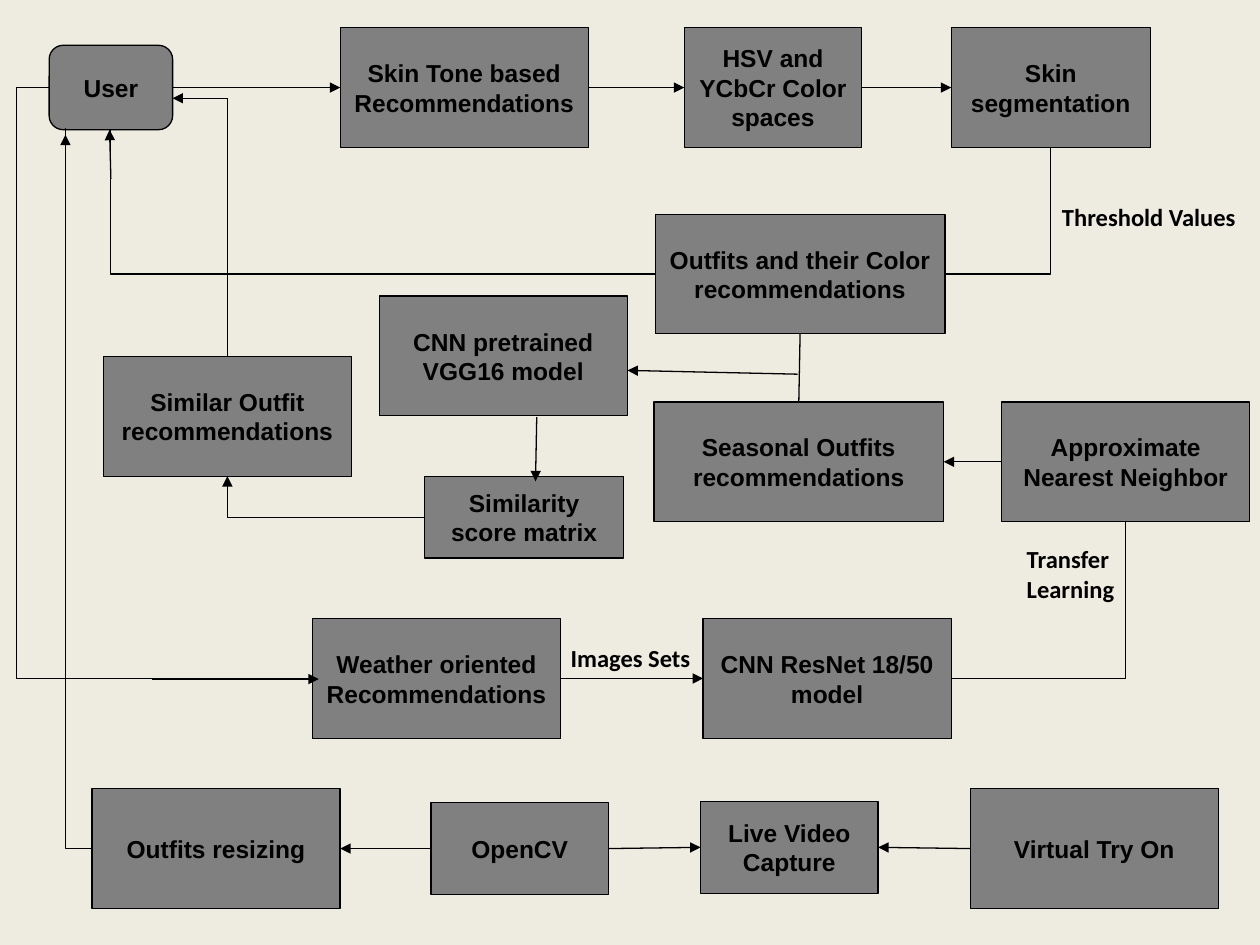
from dataclasses import dataclass
from lxml.etree import SubElement
from pptx import Presentation
from pptx.dml.color import RGBColor
from pptx.enum.shapes import MSO_CONNECTOR, MSO_SHAPE
from pptx.enum.text import MSO_ANCHOR, PP_ALIGN
from pptx.oxml.ns import qn
from pptx.util import Inches, Pt


@dataclass(frozen=True)
class Theme:
    paper: RGBColor = RGBColor(0xEE, 0xEC, 0xE1)
    box: RGBColor = RGBColor(0x80, 0x80, 0x80)
    ink: RGBColor = RGBColor(0, 0, 0)
    size: Pt = Pt(14)
    line: Pt = Pt(0.75)
    box_font: str = "Arial"
    label_font: str = "Calibri"


theme = Theme()

prs = Presentation()
prs.slide_width, prs.slide_height = Inches(10), Inches(7.5)
s = prs.slides.add_slide(prs.slide_layouts[6])
s.background.fill.solid()
s.background.fill.fore_color.rgb = theme.paper
COL, ROW = prs.slide_width / 100, prs.slide_height / 75


def grid(*lengths):
    return [round(n * (ROW if i % 2 else COL)) for i, n in enumerate(lengths)]


def write(sp, text, font, align=PP_ALIGN.LEFT, anchor=MSO_ANCHOR.TOP):
    tf = sp.text_frame
    tf.word_wrap = True
    tf.vertical_anchor = anchor
    tf.margin_left = tf.margin_right = round(COL)
    tf.margin_top = tf.margin_bottom = round(ROW)
    p = tf.paragraphs[0]
    p.alignment = align
    r = p.add_run()
    r.text = text
    r.font.name, r.font.size, r.font.bold = font, theme.size, True
    r.font.color.rgb = theme.ink


TOP, RIGHT, BOTTOM, LEFT = 0, 3, 2, 1
LARGE, WIDE = (19.7, 9.5), (23, 9.5)
MEDIUM, SMALL = (15.8, 9.5), (14.1, 7.3)

boxes = {
    "user": ("User", 3.9, 3.6, 9.8, 6.7),
    "skin_tone": ("Skin Tone based Recommendations", 27, 2.2, *LARGE),
    "color_spaces": ("HSV and YCbCr Color spaces", 54.3, 2.2, 14.1, 9.5),
    "segmentation": ("Skin segmentation", 75.5, 2.2, *MEDIUM),
    "outfits": ("Outfits and their Color recommendations", 52, 17, *WIDE),
    "weather": ("Weather oriented Recommendations", 24.8, 49.1, *LARGE),
    "resnet": ("CNN ResNet 18/50 model", 55.8, 49.1, *LARGE),
    "neighbor": ("Approximate Nearest Neighbor", 79.5, 31.9, *LARGE),
    "seasonal": ("Seasonal Outfits recommendations", 51.9, 31.9, *WIDE),
    "vgg": ("CNN pretrained VGG16 model", 30.1, 23.5, *LARGE),
    "similarity": ("Similarity score matrix", 33.7, 37.8, 15.8, 6.5),
    "similar": ("Similar Outfit recommendations", 8.2, 28.3, *LARGE),
    "try_on": ("Virtual Try On", 77, 62.6, *LARGE),
    "opencv": ("OpenCV", 34.2, 63.7, *SMALL),
    "resizing": ("Outfits resizing", 7.3, 62.6, *LARGE),
    "capture": ("Live Video Capture", 55.6, 63.6, *SMALL),
}
nodes = {}
for name, (text, *place) in boxes.items():
    kind = MSO_SHAPE.ROUNDED_RECTANGLE if name == "user" else MSO_SHAPE.RECTANGLE
    sp = nodes[name] = s.shapes.add_shape(kind, *grid(*place))
    sp.shadow.inherit = False
    sp.fill.solid()
    sp.fill.fore_color.rgb = theme.box
    sp.line.color.rgb, sp.line.width = theme.ink, theme.line
    write(sp, text, theme.box_font, PP_ALIGN.CENTER, MSO_ANCHOR.MIDDLE)

for text, x, y in [
    ("Threshold Values", 83.3, 15),
    ("Images Sets", 44.3, 50),
    ("Transfer Learning", 80.5, 42.2),
]:
    write(s.shapes.add_textbox(*grid(x, y, 15.8, 5.2)), text, theme.label_font)

STRAIGHT, CORNER, LOOP = "line", "bentConnector2", "bentConnector3"
links = [
    (STRAIGHT, ("user", RIGHT), ("skin_tone", LEFT), True),
    (STRAIGHT, ("skin_tone", RIGHT), ("color_spaces", LEFT), True),
    (STRAIGHT, ("color_spaces", RIGHT), ("segmentation", LEFT), True),
    (CORNER, ("outfits", LEFT), ("user", BOTTOM), False),
    (CORNER, ("outfits", RIGHT), ("segmentation", BOTTOM), False),
    (STRAIGHT, ("weather", RIGHT), ("resnet", LEFT), True),
    (STRAIGHT, ("neighbor", LEFT), ("seasonal", RIGHT), True),
    (CORNER, ("resnet", RIGHT), ("neighbor", BOTTOM), False),
    (LOOP, ("user", LEFT), ("weather", LEFT), False),
    (STRAIGHT, ("outfits", BOTTOM), ("seasonal", TOP), False),
    (STRAIGHT, (63.3, 29.7), (49.8, 29.4), True),
    (STRAIGHT, (42.6, 33.1), (42.5, 38.2), True),
    (CORNER, ("similarity", LEFT), ("similar", BOTTOM), True),
    (CORNER, ("resizing", LEFT), (5.2, 10.2), False),
    (CORNER, (13.8, 7.8), ("similar", TOP), False),
    (STRAIGHT, (18.1, 7.8), (13.7, 7.8), True),
    (STRAIGHT, (8.8, 14.2), (8.7, 10.3), True),
    (STRAIGHT, (5.2, 14.6), (5.2, 10.7), True),
    (STRAIGHT, ("try_on", LEFT), ("capture", RIGHT), True),
    (STRAIGHT, ("opencv", RIGHT), ("capture", LEFT), True),
    (STRAIGHT, ("opencv", LEFT), ("resizing", RIGHT), True),
    (STRAIGHT, (12.1, 53.9), (25.3, 53.9), True),
]
for kind, start, end, arrow in links:
    route = MSO_CONNECTOR.STRAIGHT if kind == STRAIGHT else MSO_CONNECTOR.ELBOW
    points = [(0, 0) if isinstance(e[0], str) else grid(*e) for e in (start, end)]
    c = s.shapes.add_connector(route, *points[0], *points[1])
    for (target, side), connect in ((start, c.begin_connect), (end, c.end_connect)):
        if target in nodes:
            connect(nodes[target], side)
    c.line.color.rgb, c.line.width = theme.ink, theme.line
    spPr = c._element.spPr
    geom = spPr.find(qn("a:prstGeom"))
    geom.set("prst", kind)
    if kind == LOOP:
        SubElement(geom.find(qn("a:avLst")), qn("a:gd"), name="adj1", fmla="val -12500")
    if arrow:
        SubElement(spPr.find(qn("a:ln")), qn("a:tailEnd"), type="triangle")
    SubElement(spPr, qn("a:effectLst"))

prs.save("out.pptx")
